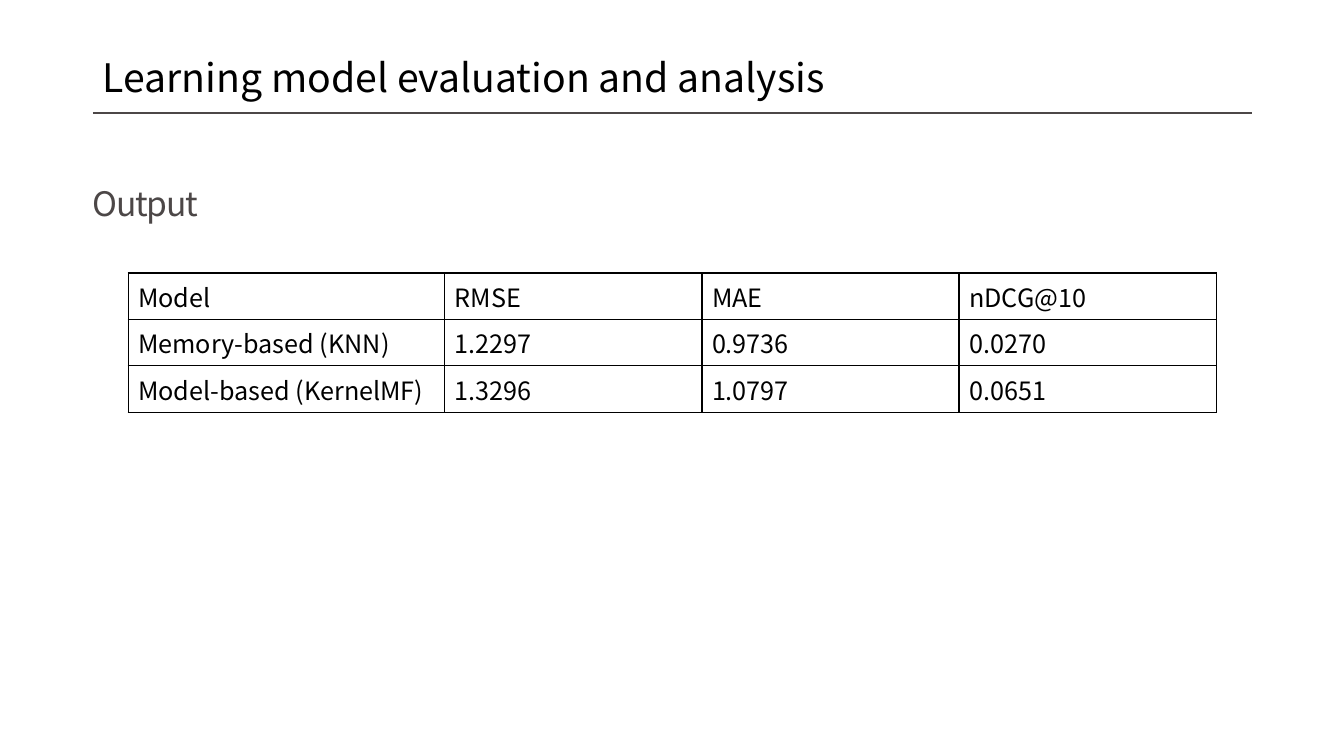
import pptx
import pptx.dml.color
import pptx.enum.shapes
import pptx.enum.text
import pptx.oxml
import pptx.oxml.ns
import pptx.util
from lxml import etree

Cm = pptx.util.Cm
Pt = pptx.util.Pt
MIDDLE = pptx.enum.text.MSO_ANCHOR.MIDDLE
FONT = "Noto Sans CJK KR"
BLACK = "000000"
GREY = "4C4747"


def color(hex_code):
    return pptx.dml.color.RGBColor.from_string(hex_code)


def write(frame, text, size, hex_code=BLACK, line_spacing=1.0, tracking=0):
    """Fill a text frame with one left-aligned paragraph; tracking is in points."""
    para = frame.paragraphs[0]
    para.alignment = pptx.enum.text.PP_ALIGN.LEFT
    para.line_spacing = line_spacing
    span = para.add_run()
    span.text = text
    span.font.size = Pt(size)
    span.font.name = FONT
    span.font.color.rgb = color(hex_code)
    if tracking:
        span.font._element.set("spc", str(round(tracking * 100)))


deck = pptx.Presentation()
deck.slide_width = Cm(33.87)
deck.slide_height = Cm(19.05)
page = deck.slides.add_slide(deck.slide_layouts[5])
page.background.fill.solid()
page.background.fill.fore_color.rgb = color("FFFFFF")

# Title and rule
title = page.shapes.title
title.left, title.top, title.width, title.height = Cm(2.34), Cm(1.02), Cm(29.21), Cm(1.96)
title.text_frame.auto_size = pptx.enum.text.MSO_AUTO_SIZE.NONE
title.text_frame.vertical_anchor = MIDDLE
write(title.text_frame, "Learning model evaluation and analysis", 28, line_spacing=0.9)

rule = page.shapes.add_connector(
    pptx.enum.shapes.MSO_CONNECTOR.STRAIGHT, Cm(2.34), Cm(2.85), Cm(31.55), Cm(2.85))
rule.line.color.rgb = color(GREY)
rule.line.width = Pt(1.5)
etree.SubElement(rule._element.spPr, pptx.oxml.ns.qn("a:effectLst"))

# Section heading
heading = page.shapes.add_textbox(Cm(2.34), Cm(4.22), Cm(10.74), Cm(1.3))
frame = heading.text_frame
frame.word_wrap = True
frame.vertical_anchor = MIDDLE
frame.margin_left = frame.margin_top = frame.margin_right = frame.margin_bottom = 0
write(frame, "Output", 24, GREY, line_spacing=1.49, tracking=-0.9)

# Results table
results = [
    ["Model", "RMSE", "MAE", "nDCG@10"],
    ["Memory-based (KNN)", "1.2297", "0.9736", "0.0270"],
    ["Model-based (KernelMF)", "1.3296", "1.0797", "0.0651"],
]
column_widths = [7.98, 6.48, 6.48, 6.48]
row_height = 1.17
table = page.shapes.add_table(
    len(results), len(column_widths), Cm(3.23), Cm(6.88),
    Cm(sum(column_widths)), Cm(row_height * len(results))).table
table.first_row = False
table.horz_banding = False
for column, width in zip(table.columns, column_widths):
    column.width = Cm(width)

for row, values in zip(table.rows, results):
    row.height = Cm(row_height)
    for cell, value in zip(row.cells, values):
        cell.vertical_anchor = MIDDLE
        cell.fill.background()
        write(cell.text_frame, value, 18)
        properties = cell._tc.get_or_add_tcPr()
        for position, side in enumerate(["lnL", "lnR", "lnT", "lnB"]):
            border = pptx.oxml.parse_xml(
                f'<a:{side} {pptx.oxml.ns.nsdecls("a")} w="{Pt(1)}"><a:solidFill>'
                f'<a:srgbClr val="{BLACK}"/></a:solidFill></a:{side}>')
            properties.insert(position, border)

deck.save("out.pptx")
